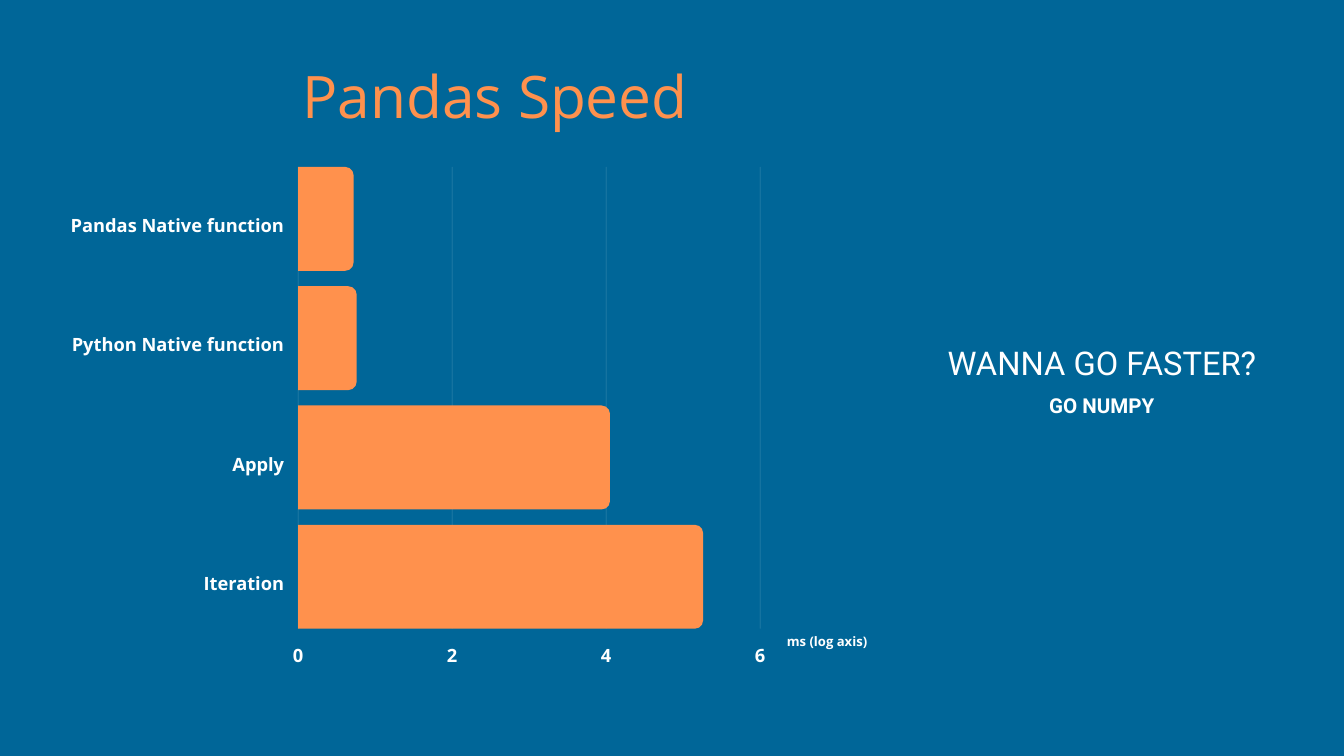
from dataclasses import dataclass

from lxml.etree import SubElement
from pptx import Presentation
from pptx.dml.color import RGBColor
from pptx.enum.shapes import MSO_SHAPE as Shape
from pptx.enum.text import MSO_ANCHOR as Anchor, MSO_AUTO_SIZE as AutoSize, PP_ALIGN as Align
from pptx.oxml.ns import qn
from pptx.slide import Slide
from pptx.text.text import TextFrame
from pptx.util import Cm, Pt

COLORS = {"background": "006698", "accent": "FF914D", "text": "FFFFFF"}
AXIS_LEFT, AXIS_TOP, AXIS_HEIGHT, GRID_WIDTH = 11.27, 6.31, 17.46, 0.02
UNIT, ROW_PITCH, BAR_HEIGHT, CORNER = 2.91, 4.51, 3.93, 0.32
LABEL_RIGHT, LABEL_OFFSET, TICK_TOP, TEXT_HEIGHT = 10.74, 1.46, 24.03, 0.91


@dataclass(frozen=True)
class Bar:
    label: str
    value: float
    label_width: float


@dataclass(frozen=True)
class TextStyle:
    size: float
    font: str = "Open Sans"
    color: str = "text"
    bold: bool = False
    align: Align = Align.CENTER
    spacing: float = 1.4
    inset: float = 0
    auto_size: AutoSize = AutoSize.SHAPE_TO_FIT_TEXT


BARS = [
    Bar("Pandas Native function", 0.72, 8.26),
    Bar("Python Native function", 0.76, 8.2),
    Bar("Apply", 4.05, 2.13),
    Bar("Iteration", 5.26, 3.23),
]
TICKS = range(0, 7, 2)

TITLE = TextStyle(62.8, color="accent")
TICK = TextStyle(19.6, bold=True)
LABEL = TextStyle(19.6, bold=True, align=Align.RIGHT)
QUESTION = TextStyle(35, font="Roboto", spacing=1.2)
ANSWER = TextStyle(22, font="Roboto", bold=True, spacing=1.2)
AXIS_NOTE = TextStyle(14, bold=True, align=Align.LEFT, spacing=1.0,
                      inset=0.25, auto_size=AutoSize.NONE)


def color(name: str) -> RGBColor:
    return RGBColor.from_string(COLORS[name])


def write(frame: TextFrame, text: str, style: TextStyle) -> None:
    frame.word_wrap = True
    frame.auto_size = style.auto_size
    frame.vertical_anchor = Anchor.TOP
    frame.margin_left = frame.margin_right = Cm(style.inset)
    frame.margin_top = frame.margin_bottom = Cm(style.inset)
    para = frame.paragraphs[0]
    para.text = text
    para.alignment = style.align
    para.line_spacing = style.spacing
    para.font.name = style.font
    para.font.size = Pt(style.size)
    para.font.bold = style.bold
    para.font.color.rgb = color(style.color)


def add_text(slide: Slide, text: str, left: float, top: float,
             width: float, height: float, style: TextStyle) -> None:
    box = slide.shapes.add_textbox(Cm(left), Cm(top), Cm(width), Cm(height))
    write(box.text_frame, text, style)


def add_title(slide: Slide, text: str) -> None:
    title = slide.shapes.title
    title.left, title.top, title.width, title.height = Cm(6.07), Cm(1.22), Cm(25.3), Cm(2.97)
    write(title.text_frame, text, TITLE)


def add_grid(slide: Slide) -> None:
    top, bottom = Cm(AXIS_TOP), Cm(AXIS_TOP + AXIS_HEIGHT)
    builder = slide.shapes.build_freeform(Cm(AXIS_LEFT - GRID_WIDTH / 2), top)
    for tick in TICKS:
        center = AXIS_LEFT + tick * UNIT
        left, right = Cm(center - GRID_WIDTH / 2), Cm(center + GRID_WIDTH / 2)
        if tick != TICKS[0]:
            builder.move_to(left, top)
        builder.add_line_segments([(right, top), (right, bottom), (left, bottom)], close=True)
    grid = builder.convert_to_shape()
    grid.shadow.inherit = False
    grid.line.fill.background()
    grid.fill.solid()
    grid.fill.fore_color.rgb = color("text")
    fill = grid._element.spPr.find(f"{qn('a:solidFill')}/{qn('a:srgbClr')}")
    SubElement(fill, qn("a:alpha"), val="24000")


def add_tick(slide: Slide, tick: int) -> None:
    width = 0.4
    left = AXIS_LEFT + tick * UNIT - width / 2
    add_text(slide, str(tick), left, TICK_TOP, width, TEXT_HEIGHT, TICK)


def add_bar(slide: Slide, bar: Bar, row: int) -> None:
    top = AXIS_TOP + row * ROW_PITCH
    length = bar.value * UNIT
    shift = (length - BAR_HEIGHT) / 2
    shape = slide.shapes.add_shape(
        Shape.ROUND_2_SAME_RECTANGLE,
        Cm(AXIS_LEFT + shift), Cm(top - shift), Cm(BAR_HEIGHT), Cm(length))
    shape.rotation = 90
    shape.adjustments[0] = CORNER / min(length, BAR_HEIGHT)
    shape.shadow.inherit = False
    shape.fill.solid()
    shape.fill.fore_color.rgb = color("accent")
    shape.line.fill.background()
    add_text(slide, bar.label, LABEL_RIGHT - bar.label_width, top + LABEL_OFFSET,
             bar.label_width, TEXT_HEIGHT, LABEL)


def main() -> None:
    """Build the slide that compares the speed of pandas techniques."""
    deck = Presentation()
    deck.slide_width, deck.slide_height = Cm(50.8), Cm(28.58)
    page = deck.slides.add_slide(deck.slide_layouts.get_by_name("Title Only"))
    page.background.fill.solid()
    page.background.fill.fore_color.rgb = color("background")

    add_title(page, "Pandas Speed")
    add_grid(page)
    for tick in TICKS:
        add_tick(page, tick)
    for row, bar in enumerate(BARS):
        add_bar(page, bar, row)
    add_text(page, "WANNA GO FASTER?", 33.68, 12.65, 15.95, 1.5, QUESTION)
    add_text(page, "GO NUMPY", 34.29, 14.68, 14.71, 0.94, ANSWER)
    add_text(page, "ms (log axis)", 29.49, 23.7, 3.66, 1.24, AXIS_NOTE)
    deck.save("out.pptx")


if __name__ == "__main__":
    main()
